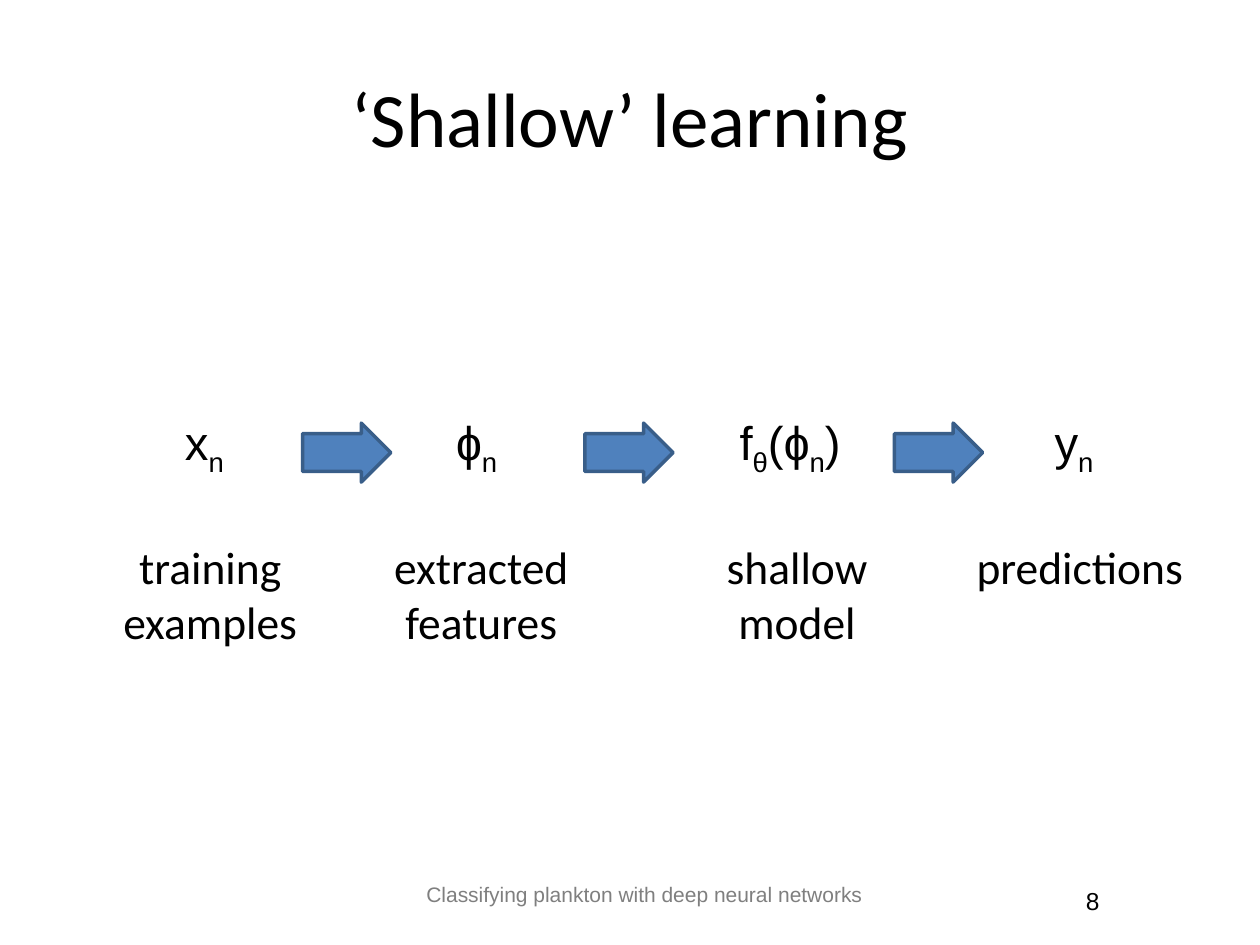
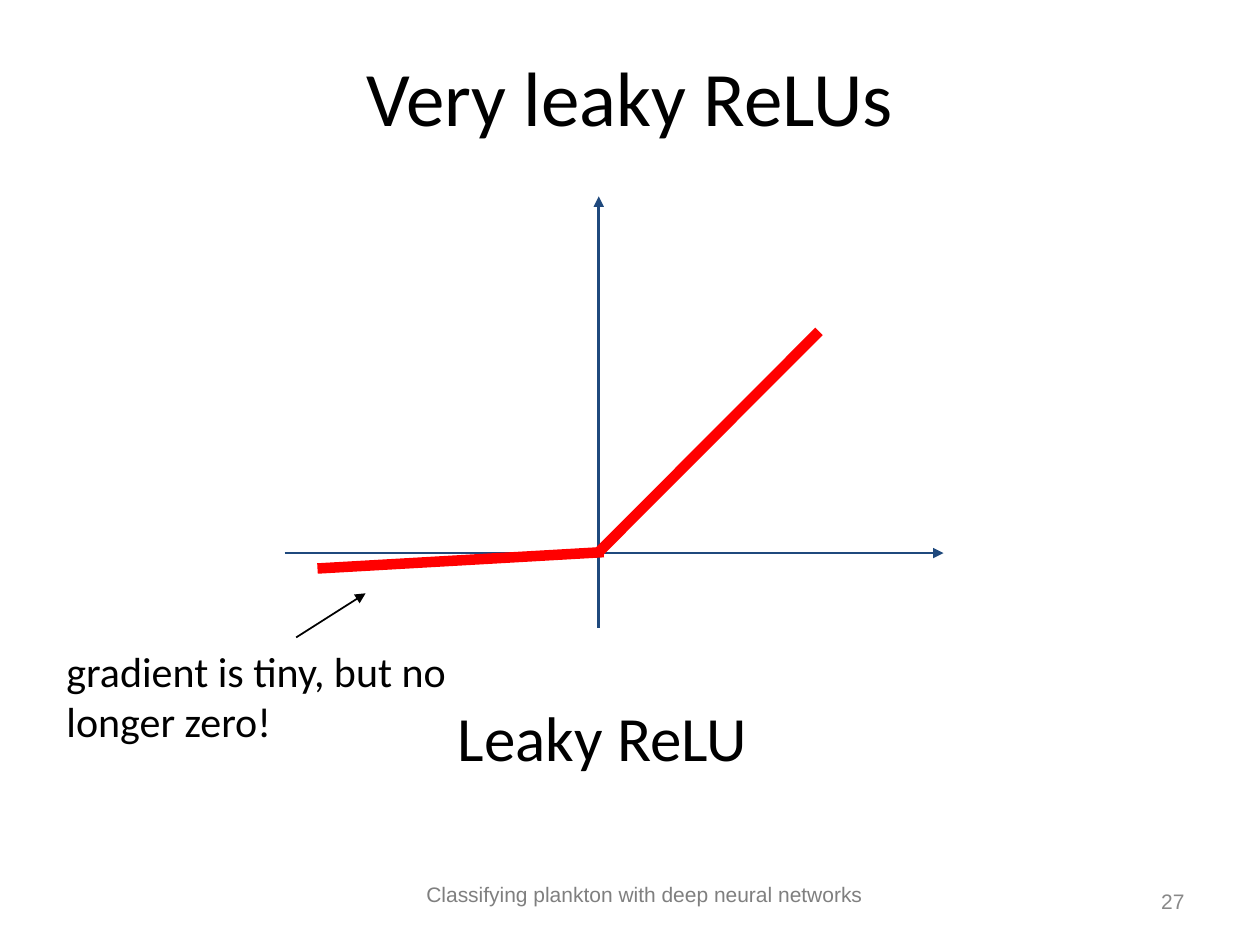
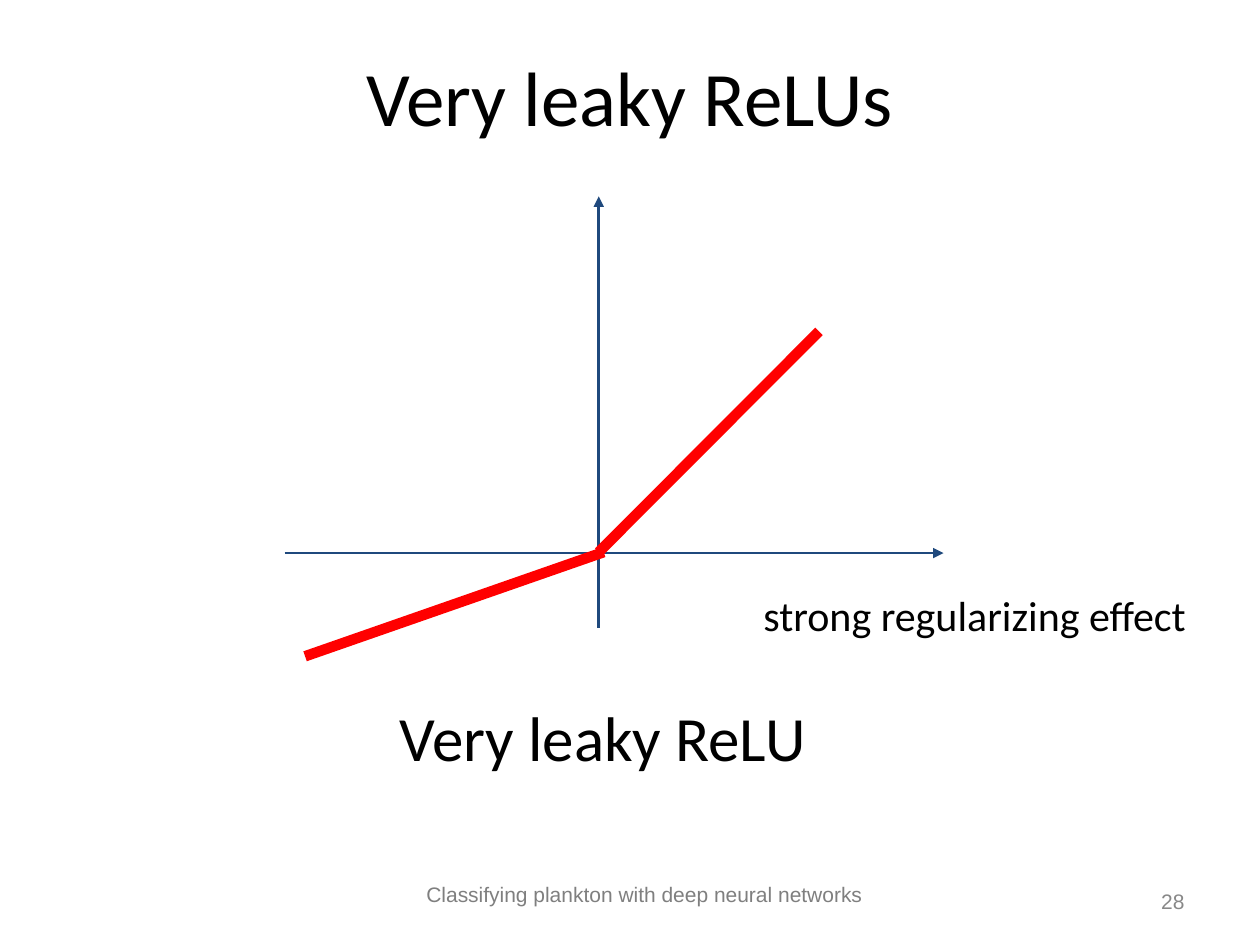
from lxml import etree
from pptx import Presentation
from pptx.dml.color import RGBColor
from pptx.enum.shapes import MSO_CONNECTOR, MSO_SHAPE
from pptx.enum.text import MSO_ANCHOR, PP_ALIGN
from pptx.oxml.ns import qn
from pptx.util import Cm, Pt

BLACK = RGBColor(0x00, 0x00, 0x00)
GRAY = RGBColor(0x7F, 0x7F, 0x7F)
PALE = RGBColor(0x88, 0x88, 0x88)
NAVY = RGBColor(0x1F, 0x49, 0x7D)
BLUE = RGBColor(0x4F, 0x81, 0xBD)
EDGE = RGBColor(0x39, 0x5E, 0x89)
RED = RGBColor(0xFF, 0x00, 0x00)

LEFT, MID, RIGHT = PP_ALIGN.LEFT, PP_ALIGN.CENTER, PP_ALIGN.RIGHT
TOP, CENTER = MSO_ANCHOR.TOP, MSO_ANCHOR.MIDDLE
LINE = MSO_CONNECTOR.STRAIGHT
ARROW = MSO_SHAPE.RIGHT_ARROW

SANS, BODY = "Arial", "Calibri"
FOOTER = "Classifying plankton with deep neural networks"
ORIGIN = (12.07, 11.13)

# symbol, its left and width, caption, its left and width
STAGES = [
    ("x_n", 3.48, 1.52, "training examples", 1.8, 4.88),
    ("ɸ_n", 8.94, 1.52, "extracted features", 6.91, 5.59),
    ("f_θ_(ɸ_n_)", 14.66, 4.22, "shallow model", 14.33, 3.48),
    ("y_n", 21.01, 1.52, "predictions", 18.62, 6.3),
]
STEPS = [6.1, 11.79, 18.03]


def add_text(slide, text, box, size, font=BODY, color=BLACK, align=MID,
             anchor=CENTER, pad=0.13):
    """Add a text box; every second part between underscores is a subscript."""
    frame = slide.shapes.add_textbox(*map(Cm, box)).text_frame
    frame.word_wrap = True
    frame.vertical_anchor = anchor
    frame.margin_top = frame.margin_bottom = Cm(pad)
    para = frame.paragraphs[0]
    para.alignment = align
    para.font.size = Pt(size)
    para.font.name = font
    para.font.color.rgb = color
    for i, part in enumerate(text.split("_")):
        run = para.add_run()
        run.text = part
        if i % 2:
            run.font._element.set("baseline", "-25000")


def add_line(slide, start, end, color, width, head=False):
    line = slide.shapes.add_connector(LINE, *map(Cm, start + end))
    line.line.color.rgb = color
    line.line.width = Pt(width)
    if head:
        etree.SubElement(line.line._get_or_add_ln(), qn("a:tailEnd"),
                         type="triangle")
    etree.SubElement(line._element.spPr, qn("a:effectLst"))


def add_arrow(slide, left):
    arrow = slide.shapes.add_shape(ARROW, Cm(left), Cm(8.53), Cm(1.78), Cm(1.19))
    arrow.shadow.inherit = False
    arrow.adjustments[0] = 0.64
    arrow.fill.solid()
    arrow.fill.fore_color.rgb = BLUE
    arrow.line.color.rgb = EDGE
    arrow.line.width = Pt(2)


def add_page(deck, title, high, number, size=12, color=PALE, align=RIGHT):
    """Add a slide with its title, footer and page number."""
    slide = deck.slides.add_slide(deck.slide_layouts[6])
    add_text(slide, FOOTER, (3.18, 17.65, 19.63, 0.76), 12, SANS, GRAY,
             anchor=TOP)
    add_text(slide, title, (1.27, 0.76, 22.86, high), 44)
    add_text(slide, number, (21.64, 17.65, 2.49, 1.02), size, SANS, color, align)
    return slide


def add_flow(deck):
    slide = add_page(deck, "‘Shallow’ learning", 3.18, "8", 14, BLACK, LEFT)
    for sign, left, wide, label, edge, span in STAGES:
        add_text(slide, sign, (left, 8.08, wide, 2.08), 27, SANS,
                 align=LEFT, anchor=TOP, pad=0.25)
        add_text(slide, label, (edge, 10.74, span, 2.44), 26, anchor=TOP)
    for left in STEPS:
        add_arrow(slide, left)


def add_plot(deck, number, name, leak):
    """Add a slide with the curve of a unit whose left arm starts at leak."""
    slide = add_page(deck, "Very leaky ReLUs", 2.34, number)
    add_line(slide, (5.74, 11.15), (19.02, 11.15), NAVY, 1.5, head=True)
    add_line(slide, (12.07, 12.65), (12.07, 3.96), NAVY, 1.5, head=True)
    add_line(slide, leak, (12.17, 11.13), RED, 6)
    add_line(slide, ORIGIN, (16.51, 6.68), RED, 6)
    add_text(slide, name, (7.26, 13.64, 9.78, 2.39), 36)
    return slide


def main():
    deck = Presentation()
    deck.slide_width, deck.slide_height = Cm(25.4), Cm(19.05)
    add_flow(deck)
    slide = add_plot(deck, "27", "Leaky ReLU", (6.4, 11.46))
    add_text(slide, "gradient is tiny, but no longer zero!",
             (1.09, 12.85, 9.78, 2.34), 24, align=LEFT)
    add_line(slide, (5.97, 12.85), (7.37, 11.96), BLACK, 1, head=True)
    slide = add_plot(deck, "28", "Very leaky ReLU", (6.15, 13.23))
    add_text(slide, "strong regularizing effect", (14.76, 10.72, 9.78, 3.35), 24)
    deck.save("out.pptx")


if __name__ == "__main__":
    main()
